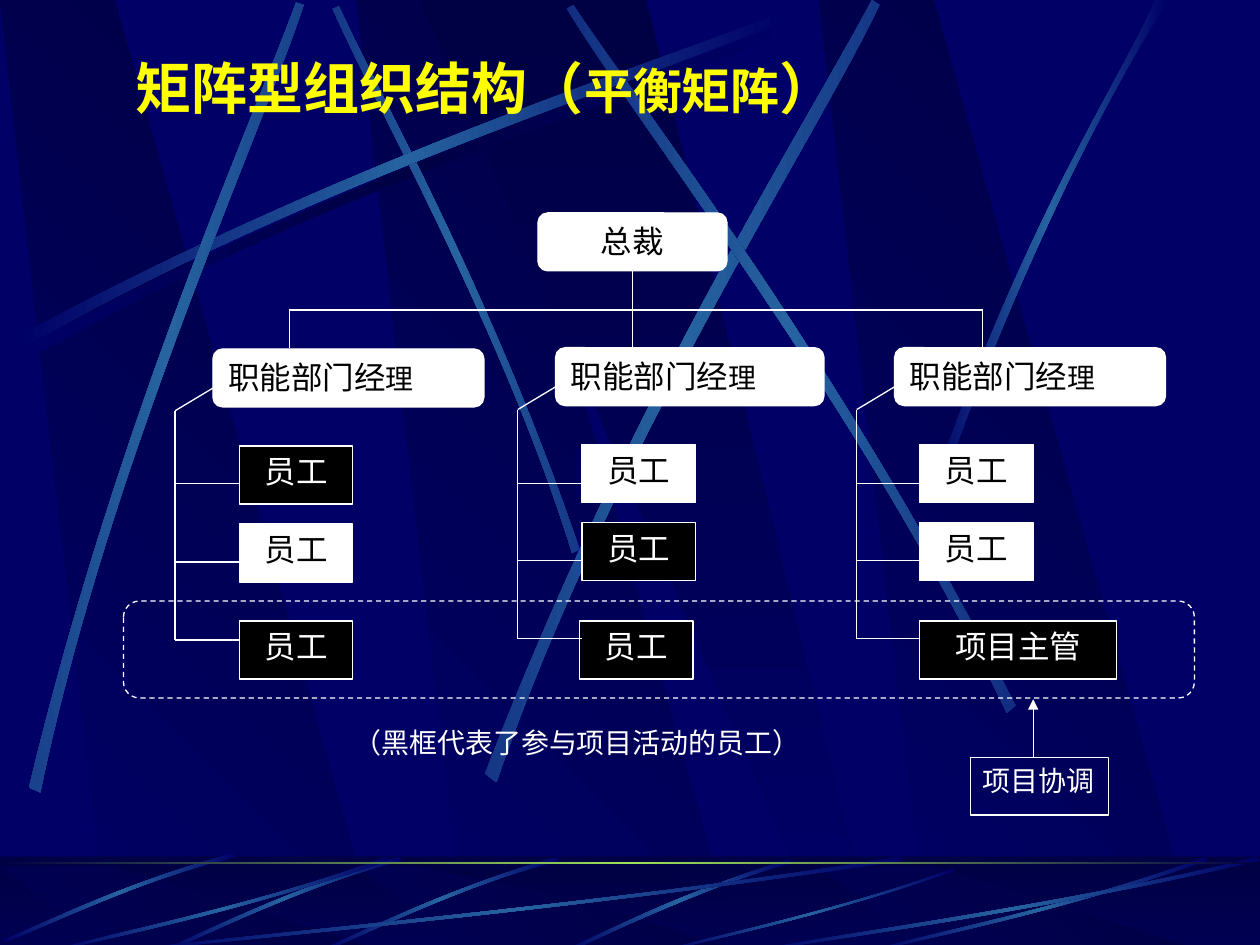
from math import cos, radians, sin

from lxml.etree import SubElement
from pptx import Presentation
from pptx.dml.color import RGBColor
from pptx.enum.dml import MSO_LINE
from pptx.enum.shapes import MSO_CONNECTOR, MSO_SHAPE as SHAPE
from pptx.enum.text import MSO_ANCHOR as ANCHOR, MSO_AUTO_SIZE, PP_ALIGN as ALIGN
from pptx.oxml import parse_xml
from pptx.oxml.ns import nsdecls, qn
from pptx.util import Inches, Pt

rgb = RGBColor.from_string
NAVY, DARK, BLUE, GREEN = "000066", "000044", "2663A0", "9CE157"
WHITE, BLACK, YELLOW = "FFFFFF", "000000", "FFFF00"


def shade(sp, colors, angle):
    """Fill a background shape with evenly spaced gradient stops."""
    sp.shadow.inherit = False
    sp.line.fill.background()
    sp.fill.gradient()
    step = 100000 // (len(colors) - 1)
    stops = "".join(f'<a:gs pos="{i * step}"><a:srgbClr val="{c}"/></a:gs>'
                    for i, c in enumerate(colors))
    spPr = sp._element.spPr
    spPr.replace(spPr.find(qn("a:gradFill")), parse_xml(
        f'<a:gradFill {nsdecls("a")} rotWithShape="0"><a:gsLst>{stops}</a:gsLst>'
        f'<a:lin ang="{angle * 60000}" scaled="1"/></a:gradFill>'))


def box(kind, x, y, w, h, fill, runs=(), color=WHITE, align=ALIGN.CENTER):
    """Add a white-edged box, or a plain text box, with (text, size) runs."""
    at = [Inches(v) for v in (x, y, w, h)]
    if kind is None:
        sp = s.shapes.add_textbox(*at)
    else:
        sp = s.shapes.add_shape(kind, *at)
        sp.shadow.inherit = False
        sp.line.color.rgb = rgb(WHITE)
        sp.line.width = Pt(0.75)
    if fill:
        sp.fill.solid()
        sp.fill.fore_color.rgb = rgb(fill)
    else:
        sp.fill.background()
    tf = sp.text_frame
    tf.word_wrap = True
    tf.vertical_anchor = ANCHOR.TOP
    p = tf.paragraphs[0]
    p.alignment = align
    for text, size in runs:
        r = p.add_run()
        r.text = text
        r.font.size, r.font.name = Pt(size), "Times New Roman"
        r.font.color.rgb = rgb(color)
    return sp


prs = Presentation()
prs.slide_width, prs.slide_height = Inches(10), Inches(7.5)
s = prs.slides.add_slide(prs.slide_layouts[6])
s.background.fill.solid()
s.background.fill.fore_color.rgb = rgb(NAVY)

# Background: slanted panels (x of two bottom and two top corners)
panels = [([x + dx for x in (0.86, 3.02, 0.91, 0)], (NAVY, DARK), 315)
          for dx in (2.83, 0, 6.5)]
panels.append(((6.58, 6.94, 5.13, 3.33), (DARK, NAVY), 90))

# Ribbons: rotation, middle colour, then two cubic curves of four points each
wall_ribbons = [
    (0, DARK, (0.2, 2.75), (2.84, 1.34), (5.24, 0.59), (6.26, 0.18),
     (6.29, 0.24), (5.28, 0.69), (2.54, 1.51), (0.23, 2.85)),
    (45, BLUE, (4.6, 4.36), (3.91, 2.34), (3.02, 0.77), (2.69, 0.05),
     (2.64, 0.07), (2.95, 0.79), (3.98, 2.58), (4.54, 4.39)),
    (0, BLUE, (0.14, 2.67), (2.78, 1.25), (5.18, 0.51), (6.2, 0.1),
     (6.23, 0.16), (5.22, 0.61), (2.48, 1.43), (0.17, 2.77)),
    (311.7, BLUE, (0.23, 6.25), (0.93, 3.34), (1.97, 1.05), (2.35, 0.02),
     (2.41, 0.04), (2.07, 1.08), (0.86, 3.68), (0.32, 6.29)),
    (321.6, BLUE, (3.85, 6.14), (4.98, 3.2), (6.38, 1.02), (6.92, 0),
     (6.98, 0.04), (6.49, 1.08), (4.86, 3.55), (3.94, 6.21)),
    (34.8, BLUE, (8.06, 5.6), (6.7, 2.93), (5.16, 0.95), (4.55, 0.04),
     (4.5, 0.07), (5.07, 1.01), (6.85, 3.25), (7.99, 5.66)),
    (0, BLUE, (7.38, 3.93), (8.14, 1.73), (8.88, 0.66), (9.17, 0),
     (9.27, 0), (8.36, 1.45), (7.69, 3.22), (7.44, 3.97)),
]
floor_ribbons = [
    (0, BLUE, (6.27, 6.82), (5.37, 7.09), (4.77, 7.42), (4.48, 7.54),
     (4.53, 7.55), (4.9, 7.37), (5.71, 7), (6.28, 6.85)),
    (314.9, BLUE, (4.42, 6.8), (3.55, 7.05), (2.87, 7.4), (2.56, 7.53),
     (2.57, 7.55), (2.88, 7.43), (3.65, 7.03), (4.44, 6.83)),
    (314.9, BLUE, (3.17, 6.8), (2.3, 7.05), (1.62, 7.4), (1.31, 7.53),
     (1.32, 7.55), (1.63, 7.43), (2.4, 7.03), (3.19, 6.83)),
    (314.9, BLUE, (1.86, 6.77), (0.99, 7), (0.33, 7.34), (0.02, 7.46),
     (0.03, 7.48), (0.34, 7.37), (1.1, 6.98), (1.88, 6.8)),
    (0, BLUE, (7.17, 6.83), (4.49, 7.23), (2.06, 7.44), (1.03, 7.55),
     (1, 7.54), (2.02, 7.41), (4.8, 7.18), (7.14, 6.8)),
    (0, BLUE, (3.08, 6.83), (1.93, 7.23), (0.88, 7.44), (0.43, 7.55),
     (0.42, 7.54), (0.86, 7.41), (2.06, 7.18), (3.07, 6.8)),
    (0, BLUE, (7.58, 6.91), (6.58, 7.26), (5.67, 7.45), (5.28, 7.55),
     (5.27, 7.54), (5.65, 7.43), (6.69, 7.22), (7.57, 6.89)),
    (0, BLUE, (9.58, 6.83), (8.43, 7.23), (7.38, 7.44), (6.93, 7.55),
     (6.92, 7.54), (7.36, 7.41), (8.56, 7.18), (9.57, 6.8)),
    (0, BLUE, (10, 6.83), (8.27, 7.23), (6.69, 7.44), (6.02, 7.55),
     (6, 7.54), (6.66, 7.41), (8.46, 7.18), (9.98, 6.8)),
]

for top, bottom, ribbons in ((0, 7.52, wall_ribbons), (6.88, 7.54, floor_ribbons)):
    is_floor = ribbons is floor_ribbons
    if is_floor:
        shade(box(SHAPE.RECTANGLE, 0, 6.8, 10, 0.75, None), (DARK, NAVY), 90)
    for xs, colors, angle in panels:
        corners = [(Inches(x), Inches(y)) for x, y in zip(xs, (bottom, bottom, top, top))]
        builder = s.shapes.build_freeform(*corners[0])
        builder.add_line_segments(corners[1:])
        shade(builder.convert_to_shape(), colors, angle)
    if is_floor:
        veil = box(SHAPE.RECTANGLE, 0, 6.79, 10, 0.75, DARK)
        veil.line.fill.background()
        color = next(veil._element.spPr.iter(qn("a:srgbClr")))
        SubElement(color, qn("a:alpha"), val="50000")
    for rot, middle, *pts in ribbons:
        # Lay the ribbon flat, so that the shape rotation turns it back
        cx, cy = [(min(v) + max(v)) / 2 for v in zip(*pts)]
        ca, sa = cos(radians(rot)), sin(radians(rot))
        flat = [(Inches(cx + (x - cx) * ca + (y - cy) * sa),
                 Inches(cy - (x - cx) * sa + (y - cy) * ca)) for x, y in pts]
        builder = s.shapes.build_freeform(*flat[0])
        builder.add_line_segments(flat[1:])
        sp = builder.convert_to_shape()
        # Bend the two long sides into cubic curves
        segments = list(sp._element.spPr.iter(qn("a:lnTo")))
        for side in (segments[:3], segments[4:7]):
            curve = parse_xml(f'<a:cubicBezTo {nsdecls("a")}/>')
            side[0].addprevious(curve)
            for seg in side:
                curve.append(seg[0])
                seg.getparent().remove(seg)
        # Rotation is about the box centre: make up for its distance from cx, cy
        ux = sp.left + sp.width / 2 - Inches(cx)
        uy = sp.top + sp.height / 2 - Inches(cy)
        sp.left += round(ux * ca - uy * sa - ux)
        sp.top += round(ux * sa + uy * ca - uy)
        sp.rotation = rot
        shade(sp, (NAVY, middle, NAVY), 0)
shade(box(SHAPE.RECTANGLE, 0, 6.84, 10, 0.02, None), (DARK, GREEN, DARK), 0)

# Title and note
title = box(None, 0.42, 0.35, 6.87, 0.66, None,
            [("矩阵型组织结构（", 32), ("平衡矩阵", 28), ("）", 32)], YELLOW)
tf = title.text_frame
tf.vertical_anchor, tf.auto_size = ANCHOR.MIDDLE, MSO_AUTO_SIZE.SHAPE_TO_FIT_TEXT
p = tf.paragraphs[0]
p.line_spacing, p.space_before = 1.04, Pt(20)
for r in p.runs:
    r.font.bold = True
box(None, 2.71, 5.71, 4.4, 0.46, None, [("（黑框代表了参与项目活动的员工）", 16)],
    align=ALIGN.JUSTIFY)

# President, and the lines down to the managers
box(SHAPE.FLOWCHART_ALTERNATE_PROCESS, 4.27, 1.69, 1.5, 0.46, WHITE, [("总裁", 18)], BLACK)
lines = [(2.3, 2.46, 7.8, 2.46), (5.02, 2.15, 5.02, 2.77)]
lines += [(x, 2.45, x, 2.76) for x in (2.3, 7.8)]

# Departments: trunk x, staff x, y shift, manager width, fills of the first
# two staff, then x, width and text of the bottom box
for x, staff_x, dy, w, fills, last_x, last_w, last in (
        (1.39, 1.9, 0.01, 2.15, (BLACK, WHITE), 1.9, 0.9, "员工"),
        (4.11, 4.62, 0, 2.13, (WHITE, BLACK), 4.6, 0.9, "员工"),
        (6.8, 7.3, 0, 2.15, (WHITE, WHITE), 7.3, 1.56, "项目主管")):
    box(SHAPE.FLOWCHART_ALTERNATE_PROCESS, x + 0.3, 2.76 + dy, w, 0.46, WHITE,
        [("职能部门经", 18), ("理", 16)], BLACK, ALIGN.LEFT)
    for y, fill in zip((3.53, 4.15), fills):
        box(SHAPE.RECTANGLE, staff_x, y + dy, 0.9, 0.46, fill, [("员工", 18)],
            BLACK if fill == WHITE else WHITE)
    box(SHAPE.RECTANGLE, last_x, 4.93, last_w, 0.46, BLACK, [(last, 18)])
    lines += [(x, 3.25 + dy, x, 5.07 + dy), (x, 3.25 + dy, x + 0.3, 3.07 + dy)]
    lines += [(x, y, staff_x, y) for y in (3.84, 4.45 + dy, 5.07 + dy)]

# Project group and its coordinator
box(SHAPE.RECTANGLE, 7.7, 6.01, 1.1, 0.46, None, [("项目协调", 16)], align=ALIGN.LEFT)
group = box(SHAPE.ROUNDED_RECTANGLE, 0.98, 4.77, 8.5, 0.77, None)
group.line.dash_style = MSO_LINE.DASH
arrow = (8.2, 6.01, 8.2, 5.55)

# Connecting lines
for line in lines + [arrow]:
    cn = s.shapes.add_connector(MSO_CONNECTOR.STRAIGHT, *[Inches(v) for v in line])
    cn.line.color.rgb = rgb(WHITE)
    cn.line.width = Pt(0.75)
    spPr = cn._element.spPr
    if line == arrow:
        SubElement(spPr.find(qn("a:ln")), qn("a:tailEnd"), type="triangle")
    SubElement(spPr, qn("a:effectLst"))

prs.save("out.pptx")
